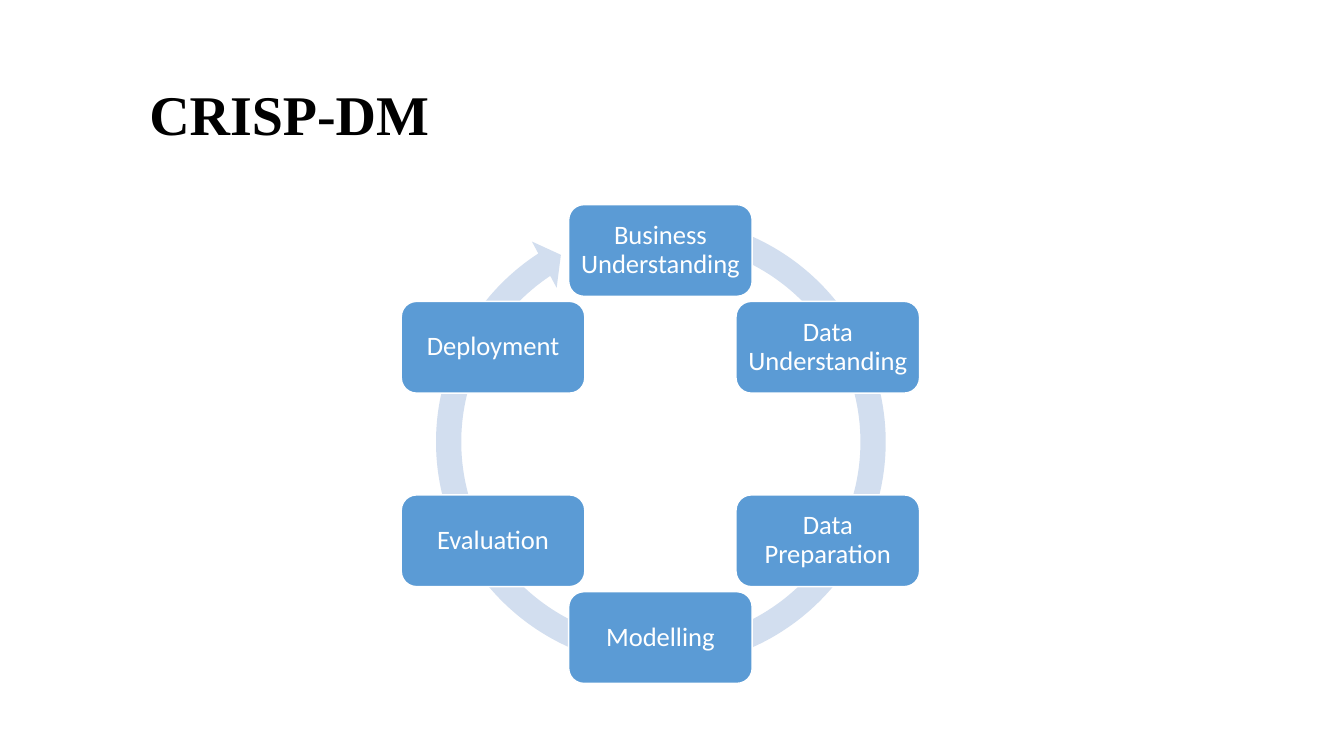
import math
from pptx import Presentation, util as u
from pptx.dml.color import RGBColor
from pptx.enum import shapes, text

PX = 9144
STAGES = ["Business Understanding", "Data Understanding", "Data Preparation",
          "Modelling", "Evaluation", "Deployment"]
CENTRE_X, CENTRE_Y, RADIUS = 655, 440, 192
BOX_WIDTH, BOX_HEIGHT, RING = 182, 91, 473


def colour(value):
    return RGBColor.from_string(value)


def write(shape, words, margins, font_format, alignment):
    frame = shape.text_frame
    frame.word_wrap = True
    frame.vertical_anchor = text.MSO_ANCHOR.MIDDLE
    for side, length in margins.items():
        setattr(frame, f"margin_{side}", length * PX)
    paragraph = frame.paragraphs[0]
    paragraph.text = words
    paragraph.alignment = alignment
    paragraph.line_spacing = 0.9
    font = paragraph.runs[0].font
    for name, value in font_format.items():
        if name == "color":
            font.color.rgb = colour(value)
        else:
            setattr(font, name, value)


presentation = Presentation()
presentation.slide_width = 1333 * PX
presentation.slide_height = 750 * PX
slide = presentation.slides.add_slide(presentation.slide_layouts[6])

ring = slide.shapes.add_shape(
    shapes.MSO_SHAPE.CIRCULAR_ARROW, 419 * PX, 202 * PX, RING * PX, RING * PX)
ring.shadow.inherit = False
ring.fill.solid()
ring.fill.fore_color.rgb = colour("D2DEEF")
ring.line.fill.background()
for index, value in enumerate([0.053, 3.126, 142.008, 171.43, 0.055]):
    ring.adjustments[index] = value

stage_font = {"name": "Calibri", "size": u.Pt(19), "color": "FFFFFF"}
stage_margins = dict.fromkeys(["left", "top", "right", "bottom"], 5)
for index, stage in enumerate(STAGES):
    angle = math.tau * index / len(STAGES)
    left = round(CENTRE_X + RADIUS * math.sin(angle) - BOX_WIDTH / 2)
    top = math.ceil(CENTRE_Y - RADIUS * math.cos(angle) - BOX_HEIGHT / 2)
    box = slide.shapes.add_shape(
        shapes.MSO_SHAPE.ROUNDED_RECTANGLE,
        left * PX, top * PX, BOX_WIDTH * PX, BOX_HEIGHT * PX)
    box.shadow.inherit = False
    box.fill.solid()
    box.fill.fore_color.rgb = colour("5B9BD5")
    box.line.color.rgb = colour("FFFFFF")
    box.line.width = u.Pt(1)
    write(box, stage, stage_margins, stage_font, text.PP_ALIGN.CENTER)

title = slide.shapes.add_textbox(124 * PX, 69 * PX, 1019 * PX, 94 * PX)
title_font = {"name": "Times New Roman", "size": u.Pt(40), "bold": True, "color": "000000"}
write(title, "CRISP-DM", {"left": 24}, title_font, text.PP_ALIGN.LEFT)

presentation.save("out.pptx")
